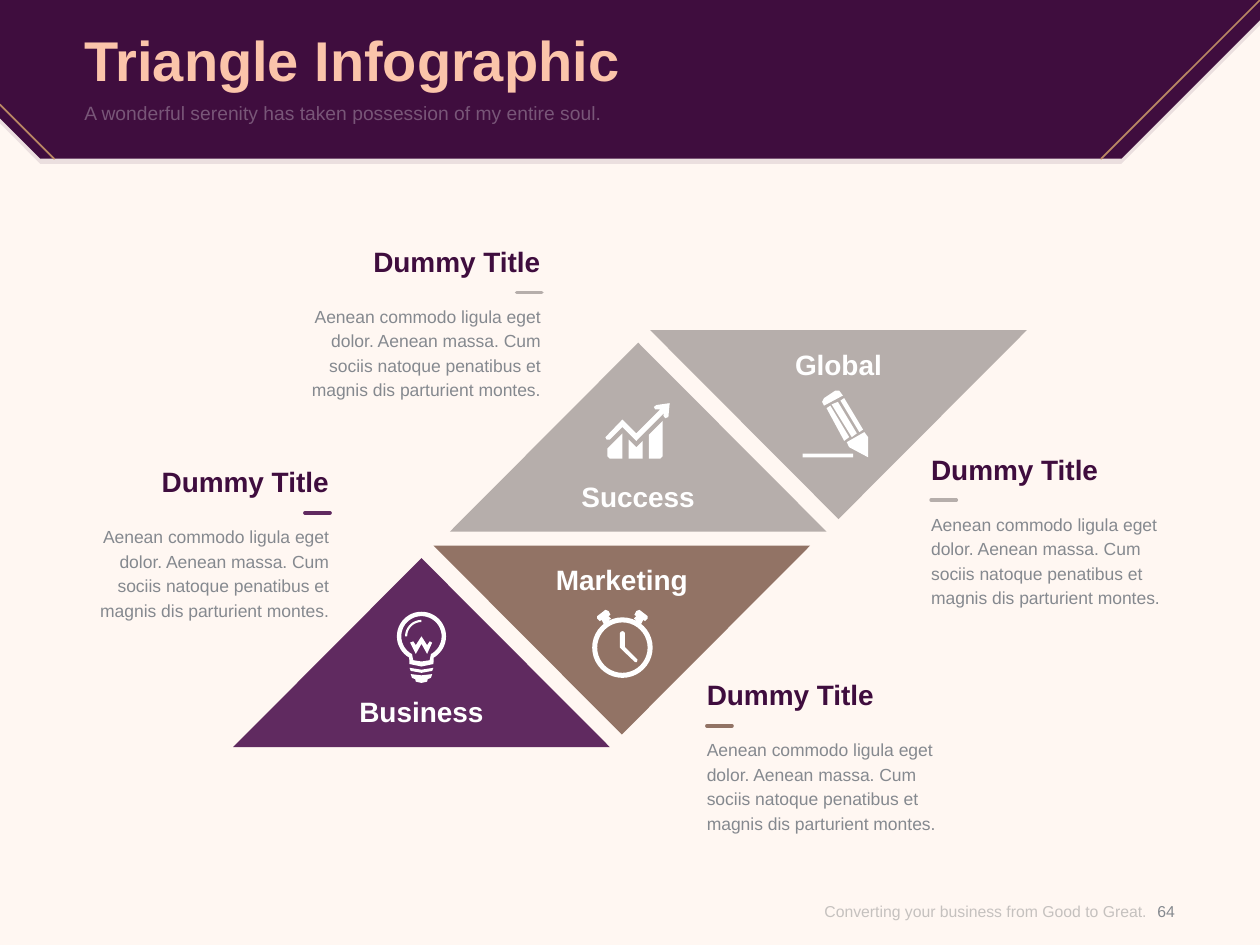
from math import cos, radians, sin

from lxml.etree import SubElement
from pptx import Presentation
from pptx.dml.color import RGBColor
from pptx.enum.shapes import MSO_CONNECTOR
from pptx.enum.text import MSO_ANCHOR, MSO_AUTO_SIZE, PP_ALIGN
from pptx.oxml.ns import qn
from pptx.util import Inches, Pt

COLORS = {
    "background": "FFF7F2", "plum": "3F0D3E", "violet": "602A60",
    "brown": "927365", "stone": "B6AEAB", "peach": "FBC4AA",
    "gold": "B98763", "gray": "85898F", "footer": "8C8C8C", "white": "FFFFFF",
}
COLUMNS, ROWS = 100, 75
TRIANGLE_WIDTH, TRIANGLE_HEIGHT = 29.9, 15
TEXT_WIDTH, TITLE_HEIGHT, BODY_HEIGHT = 19.3, 2.7, 7.9
DASH_WIDTH = 2

TITLE = "Triangle Infographic"
SUBTITLE = "A wonderful serenity has taken possession of my entire soul."
FOOTER = "Converting your business from Good to Great."
PAGE_NUMBER = "64"
CALLOUT_TITLE = "Dummy Title"
CALLOUT_BODY = ("Aenean commodo ligula eget dolor. Aenean massa. Cum sociis "
                "natoque penatibus et magnis dis parturient montes.")

TRIANGLES = [
    ("Business", 18.5, 44.3, "up", "violet"),
    ("Global", 51.6, 26.2, "down", "stone"),
    ("Marketing", 34.4, 43.3, "down", "brown"),
    ("Success", 35.7, 27.2, "up", "stone"),
]
CALLOUTS = [
    (6.8, 36.9, "right", "violet"),
    (23.6, 19.4, "right", "stone"),
    (56.1, 53.8, "left", "brown"),
    (73.9, 35.9, "left", "stone"),
]
HEADER = [(0, 0), (100, 0), (100, 1.6), (89, 12.6), (3.2, 12.6), (0, 9.4)]
HEADER_LINES = [((100, 0), (87.4, 12.6)), ((0, 8.3), (4.3, 12.6))]


def arc(center, radius, start, end, steps=40):
    angles = [radians(start + (end - start) * step / steps) for step in range(steps + 1)]
    return [(center[0] + radius * cos(angle), center[1] + radius * sin(angle))
            for angle in angles]


BULB, CLOCK = (33.45, 50.5), (49.4, 51.4)
BELL = [(50.9, 49.5), (51.05, 49.2), (51.2, 49.3), (51.4, 49.1), (51.4, 48.9),
        (50.75, 48.4), (50.5, 48.5), (50.35, 48.8), (50.5, 48.9), (50.3, 49.1)]
ICONS = {
    "bulb": [
        arc(BULB, 1.95, 120, 420) + [(34.4, 52.7), (33.45, 52.9), (32.5, 52.7)],
        arc(BULB, 1.6, 118, 422) + [(34.1, 52.4), (33.45, 52.5), (32.8, 52.4)],
        arc(BULB, 1.3, 180, 270) + arc(BULB, 1.13, 270, 180),
        [(33.9, 51.2), (33.45, 50.5), (33, 51.2), (32.8, 50.9), (32.55, 51),
         (33, 51.9), (33.45, 51.1), (33.9, 51.9), (34.3, 51), (34.1, 50.9)],
        [(32.5, 53), (33.45, 53.15), (34.4, 53), (34.3, 53.25), (33.45, 53.4), (32.6, 53.25)],
        [(32.6, 53.5), (33.45, 53.6), (34.3, 53.5), (34.2, 53.8), (33.95, 53.9),
         (33.9, 54.1), (33.45, 54.2), (33, 54.1), (32.95, 53.9), (32.7, 53.8)],
    ],
    "clock": [
        arc(CLOCK, 2.4, 0, 360), arc(CLOCK, 2, 0, 360),
        BELL, [(2 * CLOCK[0] - x, y) for x, y in BELL],
        arc((49.4, 50.3), 0.2, 180, 360, 8)
        + [(49.6, 51.35), (50.6, 52.35), (50.55, 52.55), (50.4, 52.55),
           (49.4, 51.6), (49.2, 51.4)],
    ],
    "growth": [
        [(49.9, 34.9), (50.5, 35.5), (51, 35), (51, 36.4), (49.9, 36.4)],
        [(48.2, 35.6), (49.4, 34.4), (49.4, 36.4), (48.4, 36.4), (48.2, 36.2)],
        [(51.5, 34.5), (52.6, 33.4), (52.6, 36.2), (52.4, 36.4), (51.5, 36.4)],
        [(52.1, 32.15), (53.15, 32), (53.05, 33.1), (52.8, 33.2), (52.65, 33),
         (52.7, 32.8), (50.5, 35), (49.4, 33.9), (48.4, 34.9), (48.15, 34.9),
         (48.05, 34.7), (49.4, 33.3), (50.5, 34.4), (52.4, 32.5), (52, 32.5), (51.9, 32.3)],
    ],
    "pencil": [
        [(67.2, 35.1), (68.6, 34.3), (68.9, 34.7), (68.9, 36.3), (67.4, 35.5)],
        [(67, 31.6), (68.5, 34.1), (68.2, 34.3), (66.7, 31.8)],
        [(66.5, 31.9), (68, 34.4), (67.6, 34.7), (66, 32.1)],
        [(65.9, 32.2), (67.4, 34.7), (67, 35), (65.6, 32.4)],
        [(65.4, 32.2), (65.25, 31.9), (65.4, 31.6), (66.3, 31), (66.6, 31), (66.9, 31.4)],
        [(63.7, 36), (67.7, 36), (67.7, 36.3), (63.7, 36.3)],
    ],
}

presentation = Presentation()
presentation.slide_width, presentation.slide_height = Inches(10), Inches(7.5)
slide = presentation.slides.add_slide(presentation.slide_layouts[1])
shapes = slide.shapes


def grid(column, row):
    return (round(column * presentation.slide_width / COLUMNS),
            round(row * presentation.slide_height / ROWS))


def rgb(name):
    return RGBColor.from_string(COLORS[name])


def set_alpha(properties, percent):
    color = properties.find(qn("a:solidFill")).find(qn("a:srgbClr"))
    SubElement(color, qn("a:alpha"), val=str(percent * 1000))


def add_outline(contours, color, alpha=None):
    builder = None
    for contour in contours:
        points = [grid(*point) for point in contour]
        if builder is None:
            builder = shapes.build_freeform(*points[0])
        else:
            builder.move_to(*points[0])
        builder.add_line_segments(points[1:], close=True)
    shape = builder.convert_to_shape()
    shape.shadow.inherit = False
    shape.fill.solid()
    shape.fill.fore_color.rgb = rgb(color)
    shape.line.fill.background()
    if alpha:
        set_alpha(shape.element.spPr, alpha)


def add_line(start, end, color, width):
    line = shapes.add_connector(MSO_CONNECTOR.STRAIGHT, *grid(*start), *grid(*end))
    line.line.color.rgb = rgb(color)
    line.line.width = Pt(width)
    line.line._get_or_add_ln().set("cap", "rnd")
    SubElement(line.element.spPr, qn("a:effectLst"))


def add_text(text, box, size, color, bold=False, align=PP_ALIGN.LEFT,
             anchor=MSO_ANCHOR.TOP, spacing=None, alpha=None, placeholder=None):
    left, top, width, height = box
    position, extent = grid(left, top), grid(width, height)
    shape = placeholder or shapes.add_textbox(*position, *extent)
    shape.left, shape.top = position
    shape.width, shape.height = extent
    if placeholder is not None:
        shapes._spTree.append(shape.element)
    frame = shape.text_frame
    frame.word_wrap = True
    frame.auto_size = MSO_AUTO_SIZE.NONE
    frame.vertical_anchor = anchor
    frame.margin_left = frame.margin_right = frame.margin_top = frame.margin_bottom = 0
    paragraph = frame.paragraphs[0]
    paragraph.alignment = align
    paragraph.space_before = Pt(0)
    if spacing:
        paragraph.line_spacing = Pt(spacing)
    if placeholder is not None:
        properties = paragraph._p.get_or_add_pPr()
        properties.set("marL", "0")
        properties.set("indent", "0")
        SubElement(properties, qn("a:buNone"))
    run = paragraph.add_run()
    run.text = text
    run.font.name = "Arial"
    run.font.size = Pt(size)
    run.font.bold = bold
    run.font.color.rgb = rgb(color)
    if alpha:
        set_alpha(run.font._element, alpha)


slide.background.fill.solid()
slide.background.fill.fore_color.rgb = rgb("background")

add_outline([[(x, y + 0.4) for x, y in HEADER]], "plum", alpha=10)
add_outline([HEADER], "plum")
for start, end in HEADER_LINES:
    add_line(start, end, "gold", 1)
add_text(TITLE, (6.7, 1.4, 86.6, 6.5), 32, "peach", bold=True,
         anchor=MSO_ANCHOR.MIDDLE, placeholder=shapes.title)
add_text(SUBTITLE, (6.7, 8, 86.6, 3.9), 11, "white", alpha=30,
         placeholder=slide.placeholders[1])

for label, left, top, direction, color in TRIANGLES:
    bottom = top + TRIANGLE_HEIGHT
    base, apex = (bottom, top) if direction == "up" else (top, bottom)
    add_outline([[(left, base), (left + TRIANGLE_WIDTH / 2, apex),
                  (left + TRIANGLE_WIDTH, base)]], color)
    label_top = top + (10.85 if direction == "up" else 1.35)
    label_left = left + (TRIANGLE_WIDTH - TEXT_WIDTH) / 2
    add_text(label, (label_left, label_top, TEXT_WIDTH, TITLE_HEIGHT), 16, "white",
             bold=True, align=PP_ALIGN.CENTER)

for contours in ICONS.values():
    add_outline(contours, "white")

for left, top, side, color in CALLOUTS:
    align = PP_ALIGN.RIGHT if side == "right" else PP_ALIGN.LEFT
    dash = left + (TEXT_WIDTH - DASH_WIDTH + 0.1 if side == "right" else 0)
    add_text(CALLOUT_TITLE, (left, top, TEXT_WIDTH, TITLE_HEIGHT), 16, "plum",
             bold=True, align=align)
    add_line((dash, top + 3.8), (dash + DASH_WIDTH, top + 3.8), color, 2)
    add_text(CALLOUT_BODY, (left, top + 4.6, TEXT_WIDTH, BODY_HEIGHT), 10, "gray",
             align=align, spacing=14)

add_text(FOOTER, (60.4, 69.6, 30.6, 5.4), 9, "footer", align=PP_ALIGN.RIGHT,
         anchor=MSO_ANCHOR.MIDDLE, alpha=50)
add_text(PAGE_NUMBER, (90.2, 69.6, 4.7, 5.4), 9, "gray", align=PP_ALIGN.CENTER,
         anchor=MSO_ANCHOR.MIDDLE)

presentation.save("out.pptx")
